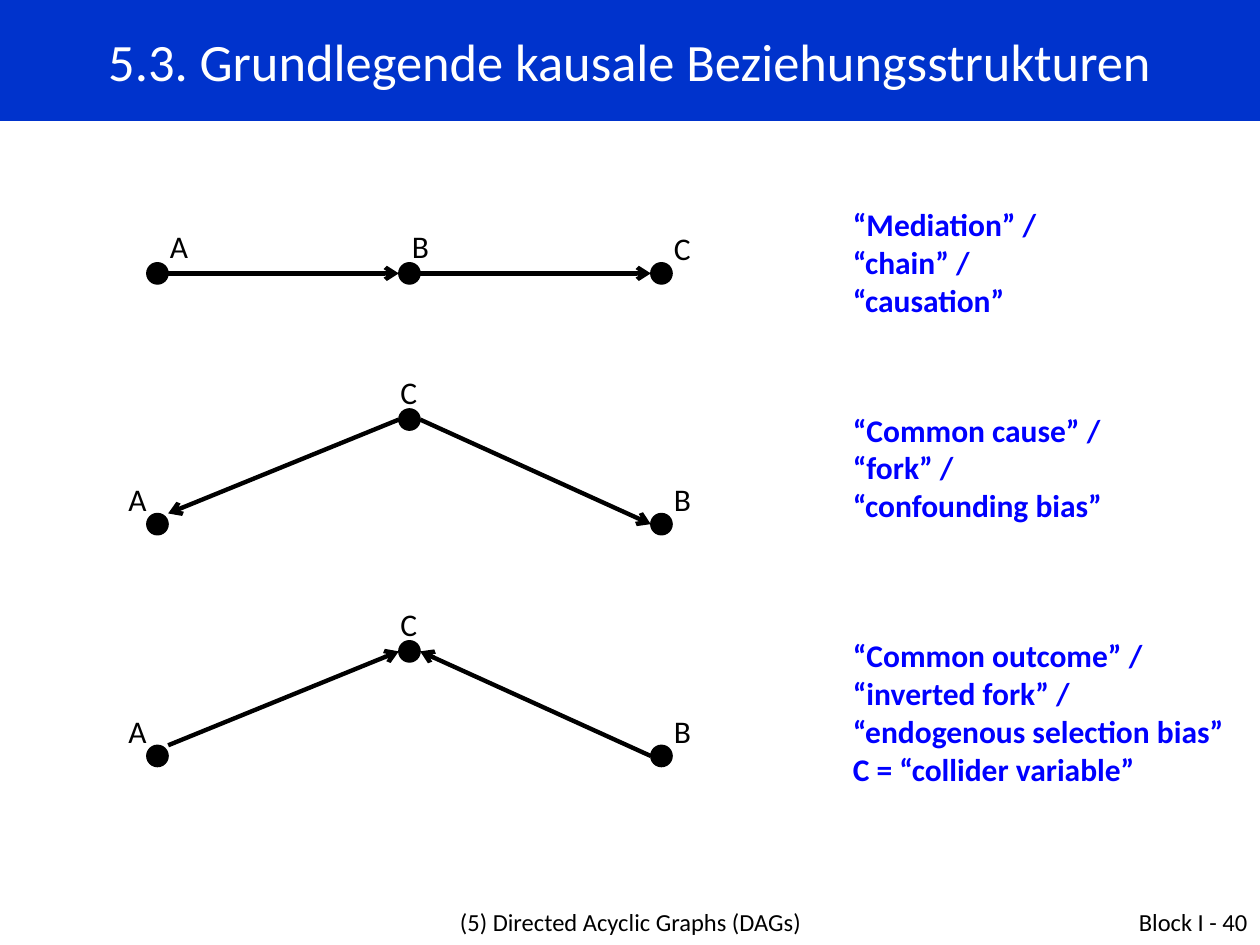
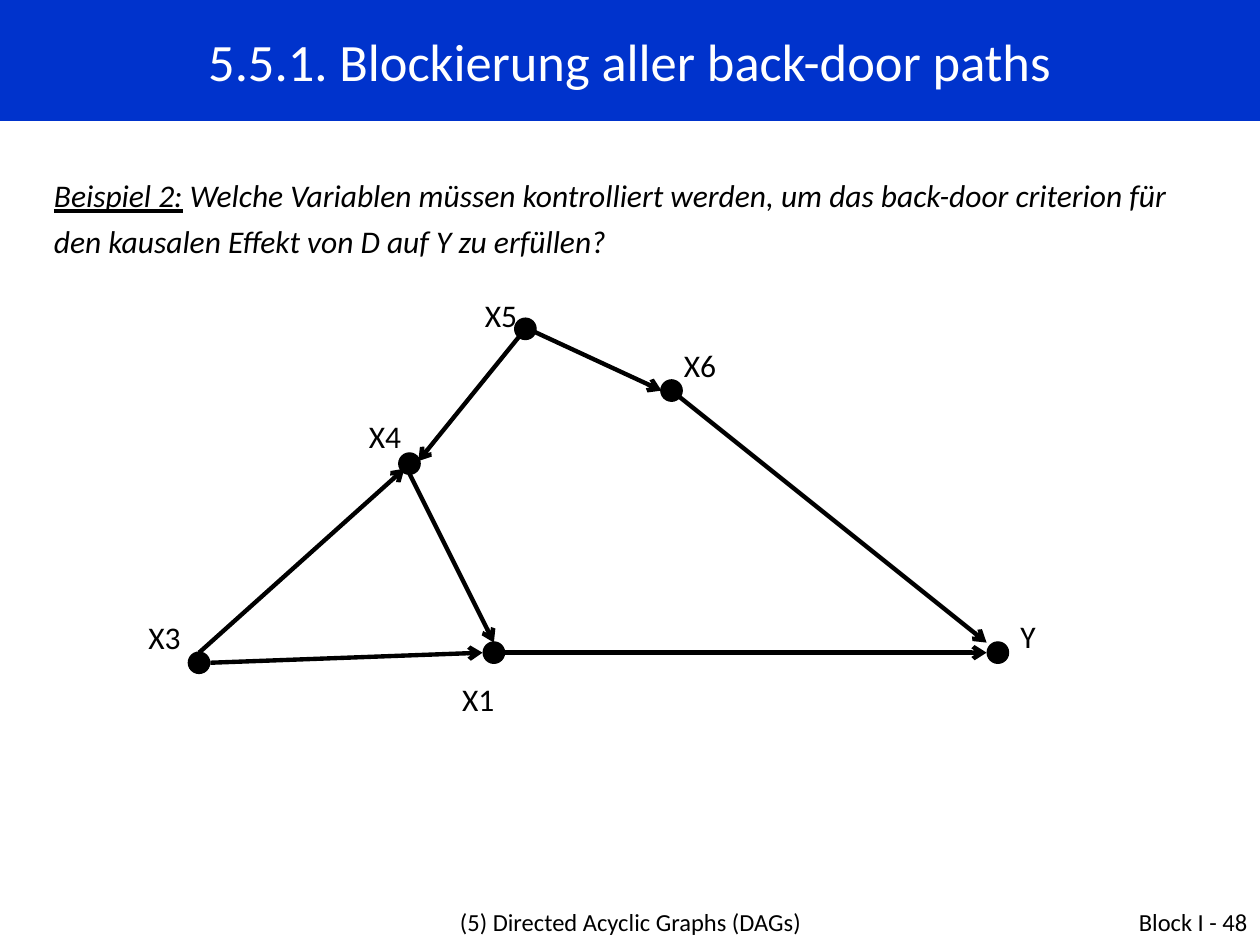
import pptx
import pptx.dml.color
import pptx.enum.shapes
import pptx.enum.text
import pptx.oxml.ns
import pptx.util
from lxml import etree
from pptx.util import Inches

ALIGN = pptx.enum.text.PP_ALIGN
SHAPE = pptx.enum.shapes.MSO_SHAPE
BAND, BLACK, WHITE, TERM_BLUE = "0033CC", "000000", "FFFFFF", "0000FF"
RADIUS = 0.085
LEFT_X, MIDDLE_X, RIGHT_X = 1.25, 3.25, 5.25


def color(hex_string):
    return pptx.dml.color.RGBColor.from_string(hex_string)


class Deck:
    """Holds the shared style and the slide being drawn."""

    font = "Calibri"
    chapter = "(5) Directed Acyclic Graphs (DAGs)"

    def __init__(self):
        self.presentation = pptx.Presentation()
        self.presentation.slide_width = Inches(10)
        self.presentation.slide_height = Inches(7.5)
        self.slide = None

    def new_slide(self, title, number):
        self.slide = self.presentation.slides.add_slide(self.presentation.slide_layouts[6])
        band = self.shape(SHAPE.RECTANGLE, 0, 0, 10, 0.96, BAND)
        band.line.fill.background()
        band.text_frame.vertical_anchor = pptx.enum.text.MSO_ANCHOR.MIDDLE
        paragraph = band.text_frame.paragraphs[0]
        paragraph.alignment = ALIGN.CENTER
        self.run(paragraph, title, 30, WHITE)
        self.text(2.42, 7.15, 5.17, 0.52, [self.chapter], 14, align=ALIGN.CENTER)
        self.text(7.67, 7.15, 2.33, 0.52, [f"Block I - {number}"], 14, align=ALIGN.RIGHT)

    def shape(self, kind, left, top, width, height, fill):
        shape = self.slide.shapes.add_shape(
            kind, Inches(left), Inches(top), Inches(width), Inches(height))
        shape.shadow.inherit = False
        shape.fill.solid()
        shape.fill.fore_color.rgb = color(fill)
        return shape

    def run(self, paragraph, text, size=18, ink=BLACK, bold=False, italic=False, underline=False):
        run = paragraph.add_run()
        run.text = text
        font = run.font
        font.name, font.size = self.font, pptx.util.Pt(size)
        font.bold, font.italic, font.underline = bold, italic, underline
        font.color.rgb = color(ink)

    def text(self, left, top, width, height, lines=(), size=18, ink=BLACK, bold=False,
             align=ALIGN.LEFT):
        box = self.slide.shapes.add_textbox(
            Inches(left), Inches(top), Inches(width), Inches(height))
        frame = box.text_frame
        frame.word_wrap = True
        for index, line in enumerate(lines):
            paragraph = frame.add_paragraph() if index else frame.paragraphs[0]
            paragraph.alignment = align
            self.run(paragraph, line, size, ink, bold)
        return frame

    def terms(self, top, width, height, *lines):
        self.text(6.67, top, width, height, lines, ink=TERM_BLUE, bold=True)

    def node(self, name, x, y, label_left, label_top):
        dot = self.shape(SHAPE.OVAL, x - RADIUS, y - RADIUS, 2 * RADIUS, 2 * RADIUS, BLACK)
        dot.line.color.rgb = color(BLACK)
        dot.line.width = pptx.util.Pt(0.75)
        self.text(label_left, label_top, 0.5, 0.4, [name])

    def arrow(self, start, end):
        connector = self.slide.shapes.add_connector(
            pptx.enum.shapes.MSO_CONNECTOR.STRAIGHT, *map(Inches, (*start, *end)))
        connector.line.color.rgb = color(BLACK)
        connector.line.width = pptx.util.Pt(2.5)
        line = connector.line._get_or_add_ln()
        etree.SubElement(line, pptx.oxml.ns.qn("a:tailEnd"), type="arrow")
        etree.SubElement(connector._element.spPr, pptx.oxml.ns.qn("a:effectLst"))


def draw_chain(deck, y):
    for start, end in ((LEFT_X, MIDDLE_X), (MIDDLE_X, RIGHT_X)):
        deck.arrow((start + RADIUS, y), (end - RADIUS, y))
    deck.node("A", LEFT_X, y, LEFT_X, y - 0.42)
    deck.node("B", MIDDLE_X, y, 3.17, y - 0.42)
    deck.node("C", RIGHT_X, y, RIGHT_X, y - 0.4)


def draw_fork(deck, top, inverted=False):
    base = top + 0.83
    sides = (
        ((MIDDLE_X - RADIUS, top), (LEFT_X + RADIUS, base - RADIUS)),
        ((MIDDLE_X + RADIUS, top), (RIGHT_X - RADIUS, base)),
    )
    for center, outer in sides:
        if inverted:
            deck.arrow(outer, center)
        else:
            deck.arrow(center, outer)
    deck.node("C", MIDDLE_X, top, 3.08, top - 0.42)
    deck.node("A", LEFT_X, base, 0.92, base - 0.4)
    deck.node("B", RIGHT_X, base, RIGHT_X, base - 0.4)


def build_structures(deck):
    deck.new_slide("5.3. Grundlegende kausale Beziehungsstrukturen", 40)
    draw_chain(deck, 2.17)
    deck.terms(1.58, 2.67, 1.01, "“Mediation” /", "“chain” /", "“causation”")
    draw_fork(deck, 3.33)
    deck.terms(3.21, 3.17, 1.01, "“Common cause” /", "“fork” /", "“confounding bias”")
    draw_fork(deck, 5.17, inverted=True)
    deck.terms(5, 3.17, 1.32, "“Common outcome” / “inverted fork” /",
               "“endogenous selection bias”", "C = “collider variable”")


def build_back_door(deck):
    deck.new_slide("5.5.1. Blockierung aller back-door paths", 48)
    paragraph = deck.text(0.33, 1.29, 9.42, 0.83).paragraphs[0]
    paragraph.line_spacing = 1.2
    deck.run(paragraph, "Beispiel 2:", italic=True, underline=True)
    deck.run(paragraph, " Welche Variablen müssen kontrolliert werden, um das back-door "
             "criterion für den kausalen Effekt von D auf Y zu erfüllen?", italic=True)
    arrows = (
        ((4.17, 2.61), (3.32, 3.66)),
        ((4.17, 2.6), (5.25, 3.1)),
        ((5.33, 3.1), (7.83, 5.1)),
        ((1.58, 5.18), (3.21, 3.72)),
        ((3.25, 3.76), (3.92, 5.1)),
        ((1.67, 5.26), (3.83, 5.18)),
        ((4, 5.18), (7.83, 5.18)),
    )
    for start, end in arrows:
        deck.arrow(start, end)
    nodes = (
        ("X5", 4.17, 2.61, 3.75, 2.3),
        ("X6", 5.33, 3.1, 5.33, 2.7),
        ("X4", 3.25, 3.68, 2.83, 3.26),
        ("X3", 1.58, 5.26, 1.08, 4.86),
        ("X1", 3.92, 5.18, 3.57, 5.35),
        ("Y", 7.92, 5.18, 8, 4.85),
    )
    for node in nodes:
        deck.node(*node)


def main():
    deck = Deck()
    build_structures(deck)
    build_back_door(deck)
    deck.presentation.save("out.pptx")


if __name__ == "__main__":
    main()
